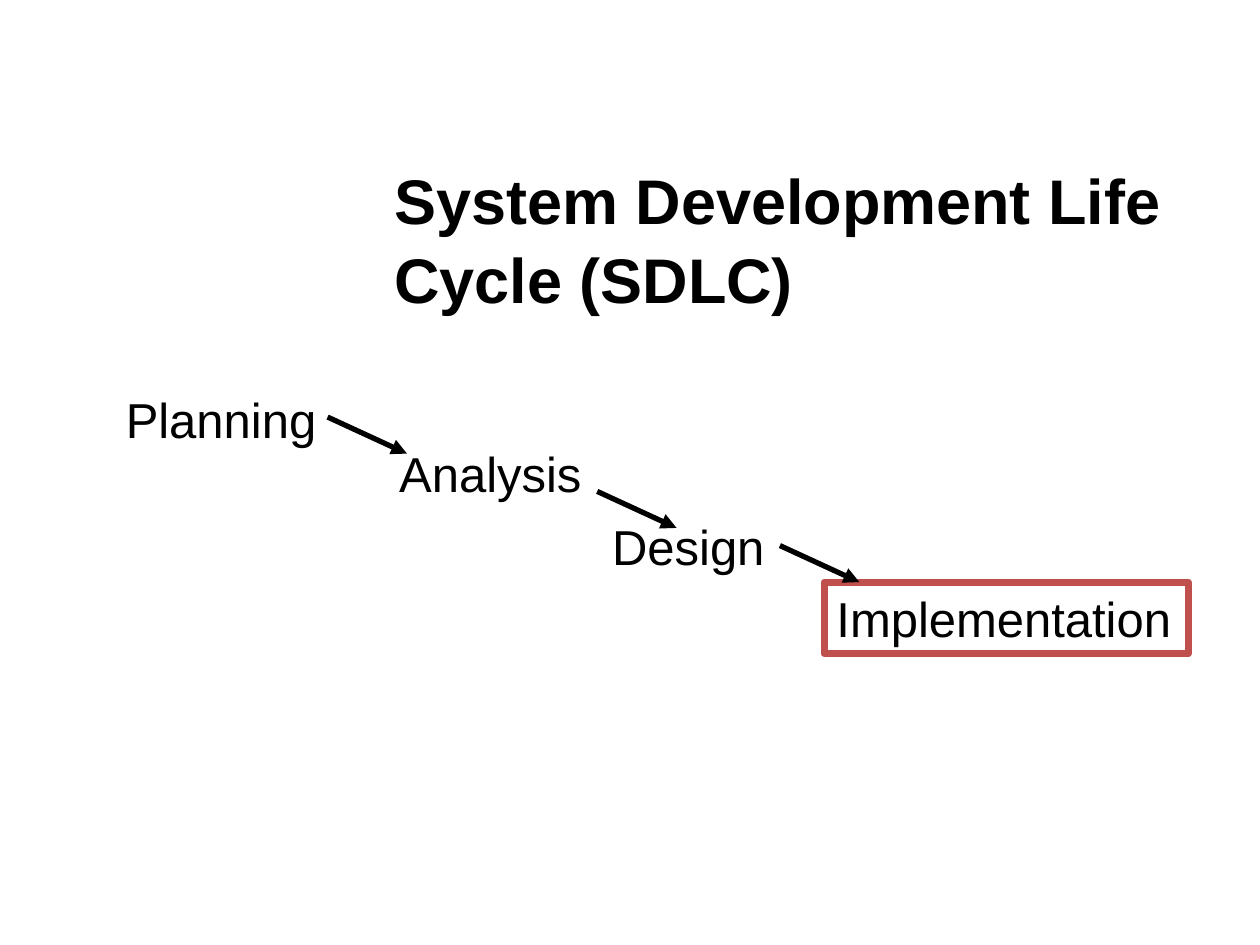
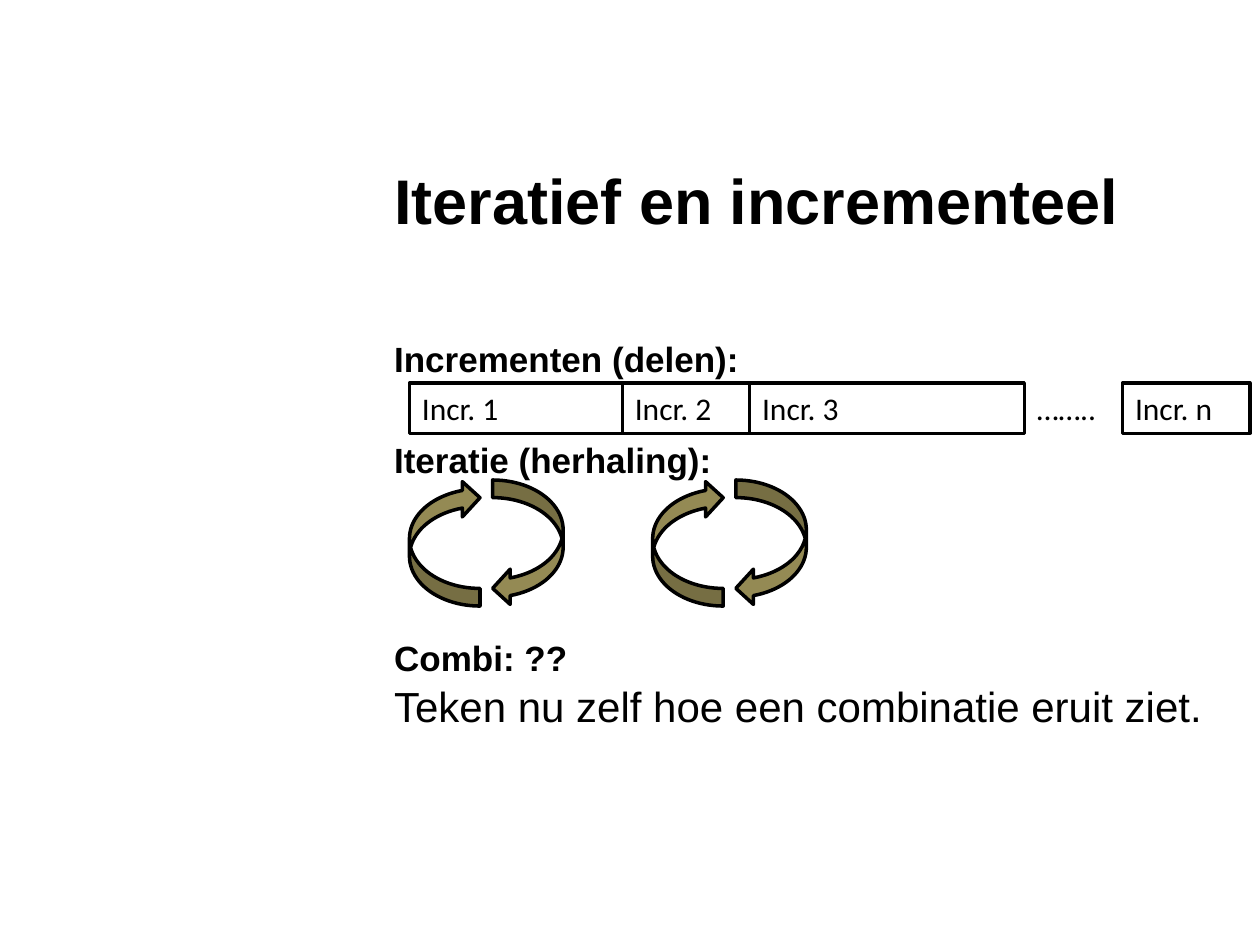
"""Build two slides on the system development life cycle and iterative work."""
from lxml import etree
from pptx import Presentation
from pptx.dml.color import RGBColor
from pptx.enum.shapes import MSO_CONNECTOR, MSO_SHAPE
from pptx.enum.text import MSO_ANCHOR, PP_ALIGN
from pptx.oxml.ns import qn
from pptx.util import Inches, Pt

RECTANGLE = MSO_SHAPE.RECTANGLE
LEFT_ARROW = MSO_SHAPE.CURVED_LEFT_ARROW
RIGHT_ARROW = MSO_SHAPE.CURVED_RIGHT_ARROW
STRAIGHT = MSO_CONNECTOR.STRAIGHT
LEFT = PP_ALIGN.LEFT
TOP = MSO_ANCHOR.TOP

COLORS = {"ink": "000000", "highlight": "C0504D", "cycle": "948A54"}
HEADING_FONT = "Arial"
BOX_FONT = "Calibri"


def color(name):
    return RGBColor.from_string(COLORS[name])


def write(paragraph, text, size=28, font=HEADING_FONT, bold=False, before=0, spacing=1.0):
    paragraph.alignment = LEFT
    paragraph.line_spacing = spacing
    if before:
        paragraph.space_before = Pt(before)
    run = paragraph.add_run()
    run.text = text
    run.font.size = Pt(size)
    run.font.name = font
    run.font.bold = bold
    run.font.color.rgb = color("ink")


class Deck:
    """Hold the presentation style and the current slide."""

    def __init__(self):
        self.presentation = Presentation()
        self.presentation.slide_width = Inches(10)
        self.presentation.slide_height = Inches(7.5)
        self.slide = None

    def start(self, title):
        self.slide = self.presentation.slides.add_slide(self.presentation.slide_layouts[6])
        self.text((3.03, 1.2, 6.67, 0.71), [(title, {"size": 36, "bold": True, "spacing": 1.05})])

    def fill_frame(self, shape, lines, wrap):
        frame = shape.text_frame
        frame.word_wrap = wrap
        frame.vertical_anchor = TOP
        for index, (text, style) in enumerate(lines):
            paragraph = frame.add_paragraph() if index else frame.paragraphs[0]
            write(paragraph, text, **style)

    def text(self, place, lines, wrap=True):
        box = self.slide.shapes.add_textbox(*map(Inches, place))
        self.fill_frame(box, lines, wrap)

    def shape(self, kind, place, fill=None, line="ink", width=2):
        shape = self.slide.shapes.add_shape(kind, *map(Inches, place))
        shape.shadow.inherit = False
        if fill:
            shape.fill.solid()
            shape.fill.fore_color.rgb = color(fill)
        else:
            shape.fill.background()
        shape.line.color.rgb = color(line)
        shape.line.width = Pt(width)
        return shape

    def box(self, place, text, wrap=True, line="ink", width=2, **style):
        shape = self.shape(RECTANGLE, place, line=line, width=width)
        self.fill_frame(shape, [(text, style)], wrap)

    def arrow(self, left, top, across=0.63, down=0.29):
        ends = map(Inches, (left, top, left + across, top + down))
        connector = self.slide.shapes.add_connector(STRAIGHT, *ends)
        connector.line.color.rgb = color("ink")
        connector.line.width = Pt(3)
        line = connector.line._get_or_add_ln()
        etree.SubElement(line, qn("a:tailEnd"), type="triangle")
        etree.SubElement(connector._element.spPr, qn("a:effectLst"))

    def cycle(self, left, top=3.81, width=0.56, height=1):
        self.shape(LEFT_ARROW, (left + 0.66, top, width, height), fill="cycle")
        rising = self.shape(RIGHT_ARROW, (left, top, width, height), fill="cycle")
        rising.rotation = 180
        rising._element.spPr.find(qn("a:xfrm")).set("flipH", "1")


def build_life_cycle(deck):
    deck.start("System Development Life Cycle (SDLC)")
    phases = [("Planning", 0.9, 3.04, 1.73), ("Analysis", 3.07, 3.47, 1.67), ("Design", 4.76, 4.05, 1.43)]
    for name, left, top, width in phases:
        deck.text((left, top, width, 0.57), [(name, {})], wrap=False)
    deck.box((6.54, 4.62, 2.89, 0.57), "Implementation", wrap=False, line="highlight", width=4)
    for left, top in [(2.6, 3.31), (4.74, 3.9), (6.19, 4.33)]:
        deck.arrow(left, top)


def build_iterations(deck):
    deck.start("Iteratief en incrementeel")
    heading = {"size": 20, "bold": True, "spacing": 1.05}
    deck.text((3.03, 2.61, 6.67, 4.32), [
        ("Incrementen (delen):", heading),
        ("Iteratie (herhaling):", {**heading, "before": 32.5}),
        ("Combi: ??", {**heading, "before": 88}),
        ("Teken nu zelf hoe een combinatie eruit ziet.", {"size": 24, "spacing": 1.05}),
    ])
    top, height = 3.04, 0.4
    label = {"size": 18, "font": BOX_FONT}
    left = 3.25
    for number, width in enumerate((1.69, 1.01, 2.18), start=1):
        deck.box((left, top, width, height), f"Incr. {number}", **label)
        left += width
    deck.box((8.91, top, 1.01, height), "Incr. n", **label)
    deck.text((left, top, 0.88, height), [("……..", label)])
    for cycle_left in (3.25, 5.18):
        deck.cycle(cycle_left)


def main():
    deck = Deck()
    build_life_cycle(deck)
    build_iterations(deck)
    deck.presentation.save("out.pptx")


if __name__ == "__main__":
    main()
